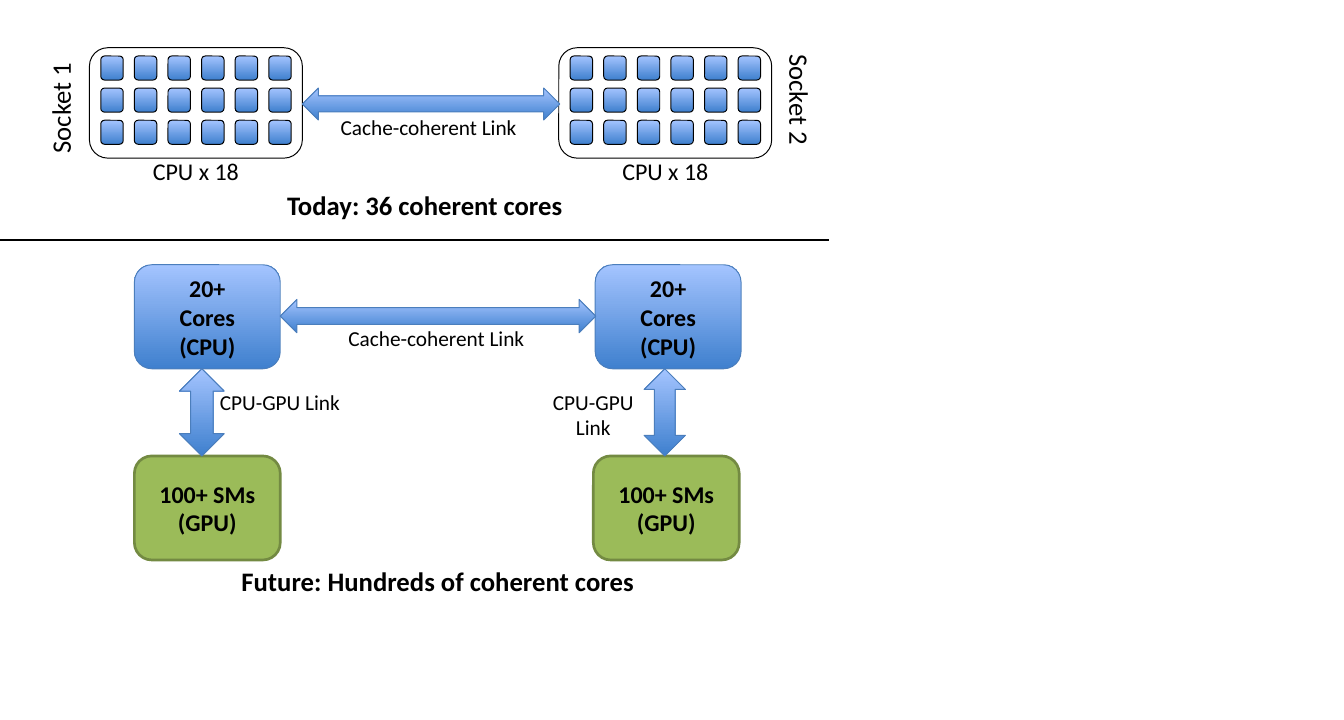
from dataclasses import dataclass
from itertools import product
from lxml import etree
from pptx import Presentation
from pptx.dml.color import RGBColor
from pptx.enum.shapes import MSO_CONNECTOR, MSO_SHAPE
from pptx.enum.text import MSO_ANCHOR, MSO_AUTO_SIZE, PP_ALIGN
from pptx.oxml.ns import qn
from pptx.util import Pt

BOX = MSO_SHAPE.ROUNDED_RECTANGLE
ACROSS = MSO_SHAPE.LEFT_RIGHT_ARROW
UPRIGHT = MSO_SHAPE.UP_DOWN_ARROW
STRAIGHT = MSO_CONNECTOR.STRAIGHT
MIDDLE = MSO_ANCHOR.MIDDLE
CENTER = PP_ALIGN.CENTER
GROW = MSO_AUTO_SIZE.SHAPE_TO_FIT_TEXT


@dataclass(frozen=True)
class Theme:
    font: str = "Calibri"
    ink: str = "000000"
    blue: tuple = ("3F80CE", "A4C4FF")
    blue_edge: str = "4B7EBC"
    green: str = "9BBB59"
    green_edge: str = "738A42"
    heading: int = 20
    body: int = 18
    link: int = 16
    thin: float = 0.75
    thick: float = 2


T = Theme()
CPU = ["20+", "Cores", "(CPU)"]
GPU = ["100+ SMs", "(GPU)"]

SOCKETS = [
    ("Socket 1", (-17.3, 65.4, 125.3, 31.5), 270, 67.1),
    ("Socket 2", (537.1, 58.9, 125.3, 31.5), 90, 419.1),
]
SOCKET_TOP, SOCKET_W, SOCKET_H = 35.8, 159.7, 82.8
CORE_COLS, CORE_ROWS = 6, 3
CORE_W, CORE_H = 16.8, 18
CORE_DX, CORE_DY = 25.2, 24.1
CORE_INSET_X, CORE_INSET_Y = 8.5, 6.2

NODE_W, NODE_H = 109.4, 78
NODES = [
    (CPU, 100.8, 198.6, T.blue, T.blue_edge, T.thin),
    (GPU, 100.8, 342, T.green, T.green_edge, T.thick),
    (CPU, 446.4, 198.6, T.blue, T.blue_edge, T.thin),
    (GPU, 445, 342, T.green, T.green_edge, T.thick),
]
ARROWS = [
    (ACROSS, (226.8, 66, 193, 24)),
    (ACROSS, (210.2, 224.6, 236.6, 25)),
    (UPRIGHT, (134.6, 276.6, 33.6, 65.4)),
    (UPRIGHT, (483.1, 276.6, 31, 65.4)),
]
LABELS = [
    (["Today: 36 coherent cores"], (72.7, 138.4, 491.8, 31.5), T.heading, True),
    (["Future: Hundreds of coherent cores"], (51.8, 420, 553, 31.5), T.heading, True),
    (["CPU x 18"], (75.6, 114.1, 142.6, 29.1), T.body, False),
    (["CPU x 18"], (427.7, 114.1, 142.6, 29.1), T.body, False),
    (["CPU-GPU Link"], (142.6, 288, 134.6, 26.7), T.link, False),
    (["CPU-GPU", "Link"], (386.6, 288, 116.6, 46), T.link, False),
    (["Cache-coherent Link"], (207.4, 240.5, 239.8, 26.7), T.link, False),
    (["Cache-coherent Link"], (201.6, 82.1, 239.8, 26.7), T.link, False),
]
DIVIDER_Y, DIVIDER_END = 180, 621.4


def rgb(value):
    return RGBColor.from_string(value)


def write(sp, lines, size, bold):
    tf = sp.text_frame
    tf.word_wrap = True
    tf.text = "\n".join(lines)
    for p in tf.paragraphs:
        p.alignment = CENTER
        p.font.name = T.font
        p.font.size = Pt(size)
        p.font.bold = bold
        p.font.color.rgb = rgb(T.ink)
    return tf


def add_label(shapes, lines, at, size, bold=False):
    sp = shapes.add_textbox(*map(Pt, at))
    write(sp, lines, size, bold).auto_size = GROW
    return sp


def add_block(shapes, kind, at, fill, edge, width):
    sp = shapes.add_shape(kind, *map(Pt, at))
    sp.shadow.inherit = False
    if fill is None:
        sp.fill.background()
    elif isinstance(fill, tuple):
        sp.fill.gradient()
        sp.fill.gradient_angle = 90
        for stop, color in zip(sp.fill.gradient_stops, fill):
            stop.color.rgb = rgb(color)
    else:
        sp.fill.solid()
        sp.fill.fore_color.rgb = rgb(fill)
    sp.line.color.rgb = rgb(edge)
    sp.line.width = Pt(width)
    return sp


def add_socket(shapes, name, label_at, turn, left):
    group = shapes.add_group_shape().shapes
    add_label(group, [name], label_at, T.heading).rotation = turn
    add_block(group, BOX, (left, SOCKET_TOP, SOCKET_W, SOCKET_H), None, T.ink, T.thin)
    for row, col in product(range(CORE_ROWS), range(CORE_COLS)):
        x = left + CORE_INSET_X + col * CORE_DX
        y = SOCKET_TOP + CORE_INSET_Y + row * CORE_DY
        add_block(group, BOX, (x, y, CORE_W, CORE_H), T.blue, T.ink, T.thin)


prs = Presentation()
prs.slide_width, prs.slide_height = Pt(1008), Pt(540)
s = prs.slides.add_slide(prs.slide_layouts[6])

for lines, x, y, fill, edge, width in NODES:
    sp = add_block(s.shapes, BOX, (x, y, NODE_W, NODE_H), fill, edge, width)
    write(sp, lines, T.body, True).vertical_anchor = MIDDLE

for socket in SOCKETS:
    add_socket(s.shapes, *socket)

for kind, at in ARROWS:
    add_block(s.shapes, kind, at, T.blue, T.blue_edge, T.thin)

divider = s.shapes.add_connector(STRAIGHT, Pt(0), Pt(DIVIDER_Y), Pt(DIVIDER_END), Pt(DIVIDER_Y))
divider.line.color.rgb = rgb(T.ink)
divider.line.width = Pt(T.thick)
etree.SubElement(divider._element.spPr, qn("a:effectLst"))

for label in LABELS:
    add_label(s.shapes, *label)

prs.save("out.pptx")
